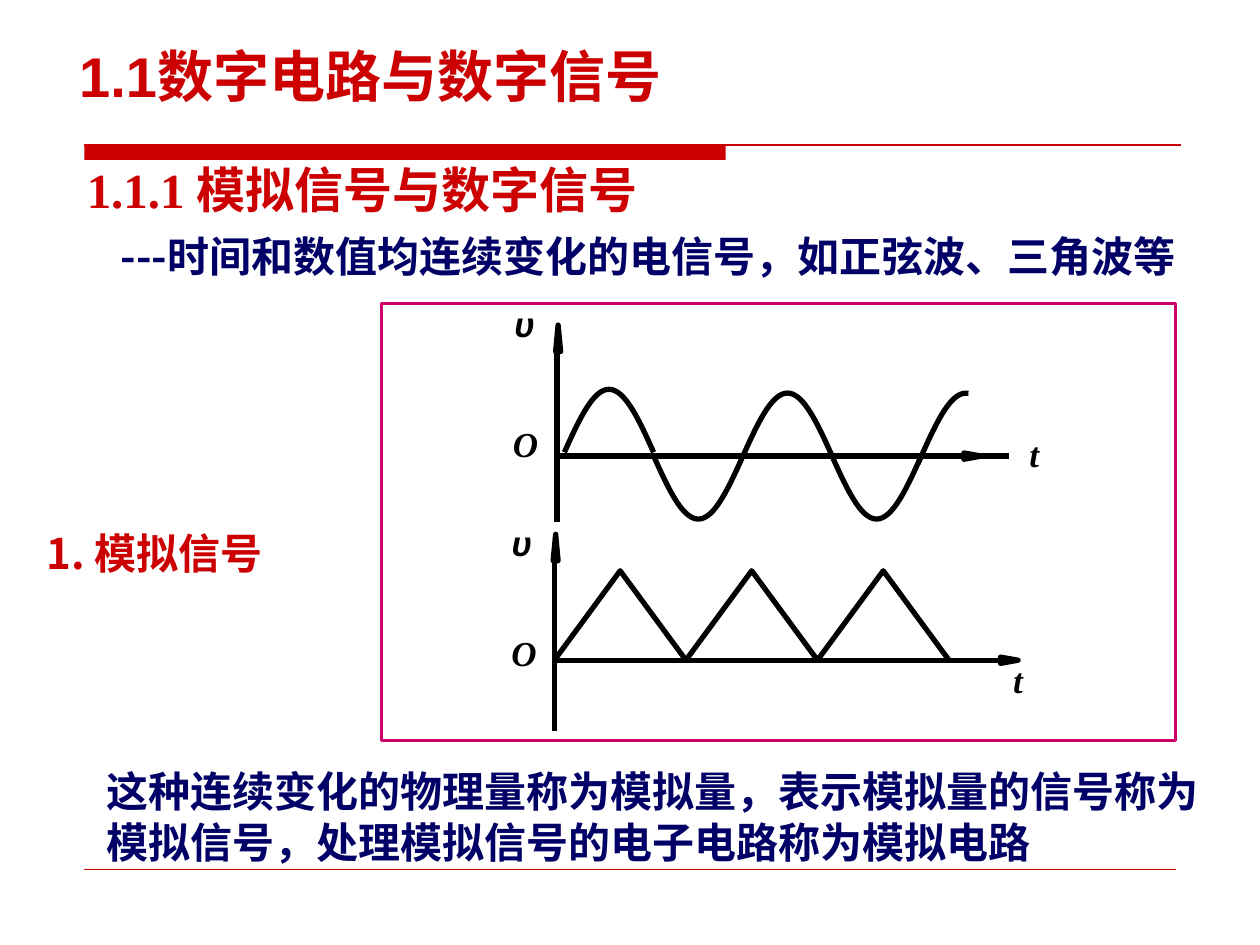
from math import radians, sin

from lxml.etree import SubElement
from pptx import Presentation
from pptx.dml.color import RGBColor
from pptx.enum.shapes import MSO_CONNECTOR, MSO_SHAPE
from pptx.enum.text import MSO_ANCHOR, MSO_AUTO_SIZE
from pptx.oxml.ns import qn
from pptx.util import Inches, Pt

RED = RGBColor(0xCC, 0x00, 0x00)
NAVY = RGBColor(0x00, 0x00, 0x66)
MAGENTA = RGBColor(0xCC, 0x00, 0x66)
BLACK = RGBColor(0x00, 0x00, 0x00)
WHITE = RGBColor(0xFF, 0xFF, 0xFF)
CJK = "Noto Sans CJK SC"
COLUMNS, ROWS = 100, 75
STROKE = 3


def grid(*counts):
    """Turn counts of grid columns or rows into lengths."""
    return [Inches(count / 10) for count in counts]


def add_text(shapes, box, runs, size=24, color=BLACK, italic=False, inset=True,
             wrap=True, anchor=MSO_ANCHOR.TOP, spacing=None, hanging=0):
    """Write one paragraph of (text, font) runs in a box."""
    frame = shapes.add_textbox(*grid(*box)).text_frame
    frame.word_wrap = wrap
    frame.vertical_anchor = anchor
    if anchor == MSO_ANCHOR.TOP:
        frame.auto_size = MSO_AUTO_SIZE.SHAPE_TO_FIT_TEXT
    if not inset:
        frame.margin_left = frame.margin_right = 0
        frame.margin_top = frame.margin_bottom = 0
    paragraph = frame.paragraphs[0]
    if spacing:
        paragraph.line_spacing = spacing
    if hanging:
        properties = paragraph._p.get_or_add_pPr()
        properties.set("marL", str(Inches(hanging)))
        properties.set("indent", str(-Inches(hanging)))
    for text, face in runs:
        run = paragraph.add_run()
        run.text = text
        run.font.name = face
        run.font.size = Pt(size)
        run.font.bold = True
        run.font.italic = italic
        run.font.color.rgb = color
        SubElement(run._r.get_or_add_rPr(), qn("a:ea")).set("typeface", CJK)


def add_line(shapes, start, end, color=BLACK, width=STROKE):
    """Draw a straight line between two grid points."""
    line = shapes.add_connector(MSO_CONNECTOR.STRAIGHT, *grid(*start, *end))
    line.line.color.rgb = color
    line.line.width = Pt(width)
    SubElement(line._element.spPr, qn("a:effectLst"))


def add_path(shapes, points, filled=False):
    """Draw a black curve, or a filled outline, through grid points."""
    corners = [tuple(grid(*point)) for point in points]
    builder = shapes.build_freeform(*corners[0])
    builder.add_line_segments(corners[1:], close=filled)
    path = builder.convert_to_shape()
    path.shadow.inherit = False
    path.line.color.rgb = BLACK
    path.line.width = Pt(STROKE)
    if filled:
        path.fill.solid()
        path.fill.fore_color.rgb = BLACK
    else:
        path.fill.background()


def add_box(shapes, box, fill, outline=None):
    """Draw a filled rectangle with an optional outline."""
    panel = shapes.add_shape(MSO_SHAPE.RECTANGLE, *grid(*box))
    panel.shadow.inherit = False
    panel.fill.solid()
    panel.fill.fore_color.rgb = fill
    if outline:
        panel.line.color.rgb = outline
        panel.line.width = Pt(1.5)
    else:
        panel.line.fill.background()


def add_header(shapes, box):
    """Place the title, its rule and the section heading."""
    left, top, width, height = box
    rule = top + 8.7
    add_box(shapes, (left + 1.4, rule, 50.9, 1.2), RED)
    add_line(shapes, (left + 1.4, rule), (left + width, rule), RED, 0.75)
    add_text(shapes, (left + 0.6, rule - 0.8, 73.2, height - 7.9),
             [("1.1.1 模拟", "Times New Roman"), ("信号与数字信号", "Arial Narrow")],
             28, RED, anchor=MSO_ANCHOR.BOTTOM)
    add_text(shapes, (left, top, 49.3, 6.4),
             [("1.1数字电路与数字信号", "Arial")], 32, RED, wrap=False)


def add_axes(shapes, box, zero, tip, labels):
    """Draw the axes of a signal graph and label them."""
    left, top, width, height = box
    level = top + zero
    add_line(shapes, (left, top + 2.1), (left, top + height))
    add_line(shapes, (left, level), (left + width, level))
    stem = left + 0.1
    add_path(shapes, [(stem + 0.2, top + 2.1), (stem - 0.2, top + 2.1), (stem, top)], True)
    point = left + tip
    add_path(shapes, [(point - 1.4, level + 0.25), (point - 1.4, level - 0.25),
                      (point, level)], True)
    for text, face, column, row, width in labels:
        add_text(shapes, (left + column, top + row, width, 3.3), [(text, face)],
                 20, italic=True, inset=False, wrap=text == "t")


def add_sine_graph(slide, box):
    """Draw the sine signal over its axes."""
    shapes = slide.shapes.add_group_shape().shapes
    left, top = box[:2]
    zero, half, height = 10.4, 7.08, 5
    add_axes(shapes, box, zero, 33.7,
             [("O", "Times New Roman", -3.5, 7.7, 2),
              ("t", "Times New Roman", 37.5, 8.5, 1.2),
              ("υ", "Arial", -3.4, -1.8, 1.6)])
    for first, last, lift in [(0, 180, 0.3), (180, 540, 0), (540, 720, 0), (713, 815, 0)]:
        add_path(shapes, [(left + 0.6 + half * angle / 180,
                           top + zero - lift - height * sin(radians(angle)))
                          for angle in range(first, last + 1, 6)])


def add_triangle_graph(slide, box):
    """Draw the triangle signal over its axes."""
    shapes = slide.shapes.add_group_shape().shapes
    left, top = box[:2]
    zero, half, height = 10, 5.22, 7.1
    add_axes(shapes, box, zero, 36.8,
             [("υ", "Arial", -3.4, -1, 1.6),
              ("O", "Times New Roman", -3.4, 7.7, 2),
              ("t", "Times New Roman", 36.4, 9.9, 1.2)])
    add_path(shapes, [(left + half * step, top + zero - height * (step % 2))
                      for step in range(7)])


def add_figure(slide, box):
    """Frame the two signal graphs."""
    left, top = box[:2]
    add_box(slide.shapes, box, WHITE, MAGENTA)
    add_triangle_graph(slide, (left + 13.7, top + 18.3, 36.8, 15.6))
    add_sine_graph(slide, (left + 13.9, top + 1.7, 35.9, 15.6))


def add_explanation(shapes, box):
    """Place the definition, the topic, the summary and the footer line."""
    left, top = box[:2]
    add_text(shapes, (left + 5.9, top, 91.4, 6.6),
             [("---时间和数值均连续变化的电信号，如正弦波、三角波等", CJK)],
             color=NAVY, spacing=1.4, hanging=0.5)
    add_text(shapes, (left, top + 25.2, 24.4, 5), [("1. 模拟信号", CJK)], color=RED)
    add_text(shapes, (left + 4.8, top + 44.1, 89.8, 9),
             [("这种连续变化的物理量称为模拟量，表示模拟量的信号称为"
               "模拟信号，处理模拟信号的电子电路称为模拟电路", "Arial Narrow")], color=NAVY)
    add_line(shapes, (left + 4, top + 52.8), (left + 90.6, top + 52.8), RED, 0.25)


def main():
    """Build the slide and save it."""
    deck = Presentation()
    deck.slide_width, deck.slide_height = grid(COLUMNS, ROWS)
    slide = deck.slides.add_slide(deck.slide_layouts[6])
    add_header(slide.shapes, (5.3, 2.8, 88.4, 15))
    add_figure(slide, (30.3, 24.1, 63, 34.7))
    add_explanation(slide.shapes, (2.7, 16.2, 97.3, 53))
    deck.save("out.pptx")


if __name__ == "__main__":
    main()
